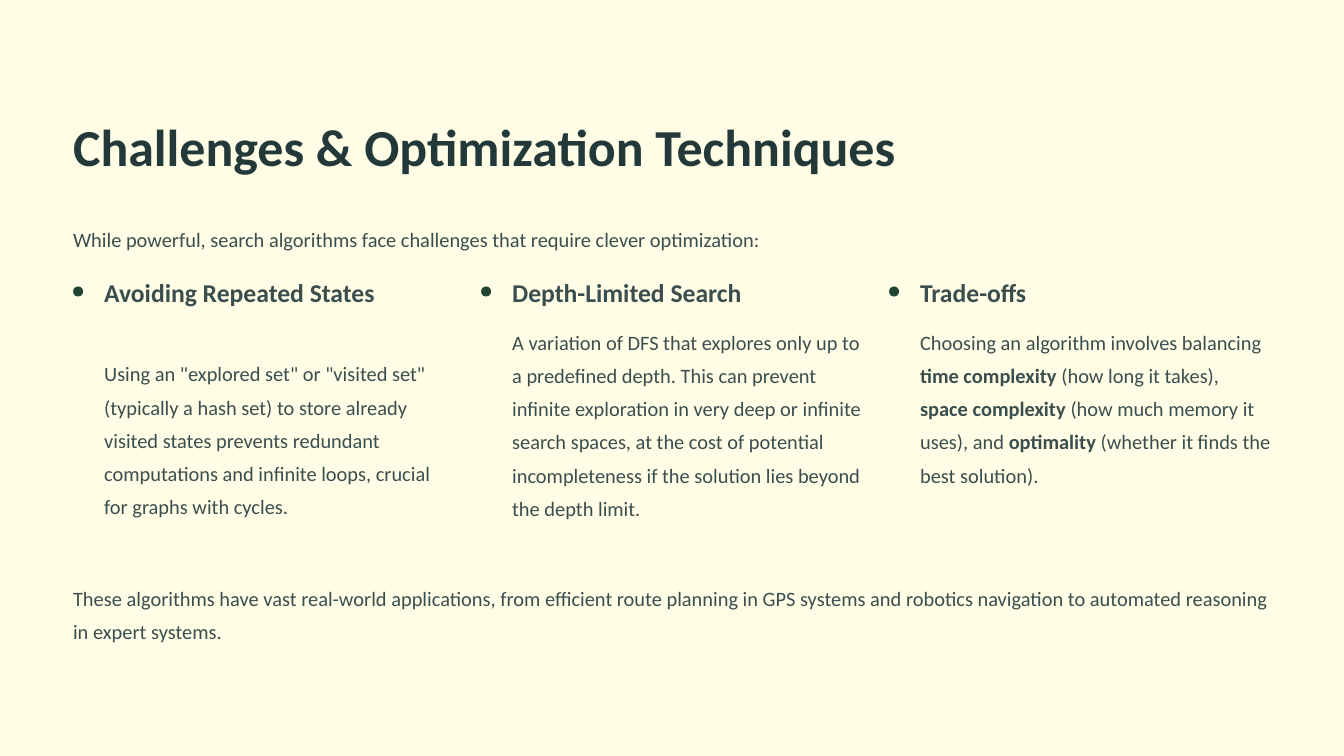
from pptx import Presentation
from pptx.dml.color import RGBColor
from pptx.enum.shapes import MSO_SHAPE
from pptx.enum.text import MSO_ANCHOR, MSO_AUTO_SIZE, PP_ALIGN
from pptx.util import Inches, Pt

ROUNDED = MSO_SHAPE.ROUNDED_RECTANGLE
TOP = MSO_ANCHOR.TOP
NO_FIT = MSO_AUTO_SIZE.NONE
LEFT = PP_ALIGN.LEFT

FONT = "Calibri"
CREAM, INK, SLATE, GREEN = "FFFDE6", "233939", "3B4E4E", "224435"
SLIDE_WIDTH, SLIDE_HEIGHT = 16, 9
MARGIN = 0.87
CONTENT_WIDTH = SLIDE_WIDTH - 2 * MARGIN
COLUMN_GAP = 0.31
COLUMNS_TOP, COLUMNS_HEIGHT = 3.28, 3.32
DOT_SIZE, DOT_DROP = 0.12, 0.13
TEXT_INDENT = 0.37
HEADING_HEIGHT = 0.39

INTRO = "While powerful, search algorithms face challenges that require clever optimization:"
CLOSING = (
    "These algorithms have vast real-world applications, from efficient route planning "
    "in GPS systems and robotics navigation to automated reasoning in expert systems."
)
# Heading, offset of the body below the column top, body with **bold** spans
TECHNIQUES = [
    ("Avoiding Repeated States", 0.92,
     'Using an "explored set" or "visited set" (typically a hash set) to store already '
     "visited states prevents redundant computations and infinite loops, crucial for "
     "graphs with cycles."),
    ("Depth-Limited Search", 0.54,
     "A variation of DFS that explores only up to a predefined depth. This can prevent "
     "infinite exploration in very deep or infinite search spaces, at the cost of "
     "potential incompleteness if the solution lies beyond the depth limit."),
    ("Trade-offs", 0.54,
     "Choosing an algorithm involves balancing **time complexity** (how long it takes), "
     "**space complexity** (how much memory it uses), and **optimality** (whether it "
     "finds the best solution)."),
]


def color(hex_string):
    return RGBColor.from_string(hex_string)


def place(shape, left, top, width, height):
    shape.left, shape.top = Inches(left), Inches(top)
    shape.width, shape.height = Inches(width), Inches(height)


def write(shape, text, size=17.5, line=28.5, ink=SLATE, bold=False):
    """Fill a shape with one paragraph; spans between ** marks are bold."""
    frame = shape.text_frame
    frame.margin_left = frame.margin_right = frame.margin_top = frame.margin_bottom = 0
    frame.word_wrap = True
    frame.auto_size = NO_FIT
    frame.vertical_anchor = TOP
    para = frame.paragraphs[0]
    para.alignment = LEFT
    para.line_spacing = Pt(line)
    for index, words in enumerate(text.split("**")):
        span = para.add_run()
        span.text = words
        span.font.name = FONT
        span.font.size = Pt(size)
        span.font.bold = bold or index % 2 == 1
        span.font.color.rgb = color(ink)


def add_text(slide, box, text, **style):
    write(slide.shapes.add_textbox(*map(Inches, box)), text, **style)


def add_title(slide, box, text):
    title = slide.shapes.title
    place(title, *box)
    write(title, text, size=44.5, line=55.5, ink=INK, bold=True)


def add_dot(slide, left, top):
    dot = slide.shapes.add_shape(ROUNDED, *map(Inches, (left, top, DOT_SIZE, DOT_SIZE)))
    dot.adjustments[0] = 0.5
    dot.shadow.inherit = False
    dot.fill.solid()
    dot.fill.fore_color.rgb = color(GREEN)
    dot.line.fill.background()


def add_technique(slide, box, heading, body_offset, body):
    left, top, width, height = box
    text_left, text_width = left + TEXT_INDENT, width - TEXT_INDENT
    add_dot(slide, left, top + DOT_DROP)
    add_text(slide, (text_left, top, text_width, HEADING_HEIGHT), heading,
             size=22, line=27.5, bold=True)
    add_text(slide, (text_left, top + body_offset, text_width, height - body_offset), body)


def add_columns(slide, box):
    left, top, width, height = box
    count = len(TECHNIQUES)
    column_width = (width - (count - 1) * COLUMN_GAP) / count
    for index, technique in enumerate(TECHNIQUES):
        column_left = left + index * (column_width + COLUMN_GAP)
        add_technique(slide, (column_left, top, column_width, height), *technique)


def build_slide(deck):
    slide = deck.slides.add_slide(deck.slide_layouts.get_by_name("Title Only"))
    slide.background.fill.solid()
    slide.background.fill.fore_color.rgb = color(CREAM)
    add_title(slide, (MARGIN, 1.33, CONTENT_WIDTH, 0.78),
              "Challenges & Optimization Techniques")
    add_text(slide, (MARGIN, 2.6, CONTENT_WIDTH, 0.4), INTRO)
    add_columns(slide, (MARGIN, COLUMNS_TOP, CONTENT_WIDTH, COLUMNS_HEIGHT))
    add_text(slide, (MARGIN, 6.87, CONTENT_WIDTH, 0.79), CLOSING)


def main():
    deck = Presentation()
    deck.slide_width, deck.slide_height = Inches(SLIDE_WIDTH), Inches(SLIDE_HEIGHT)
    build_slide(deck)
    deck.save("out.pptx")


if __name__ == "__main__":
    main()
